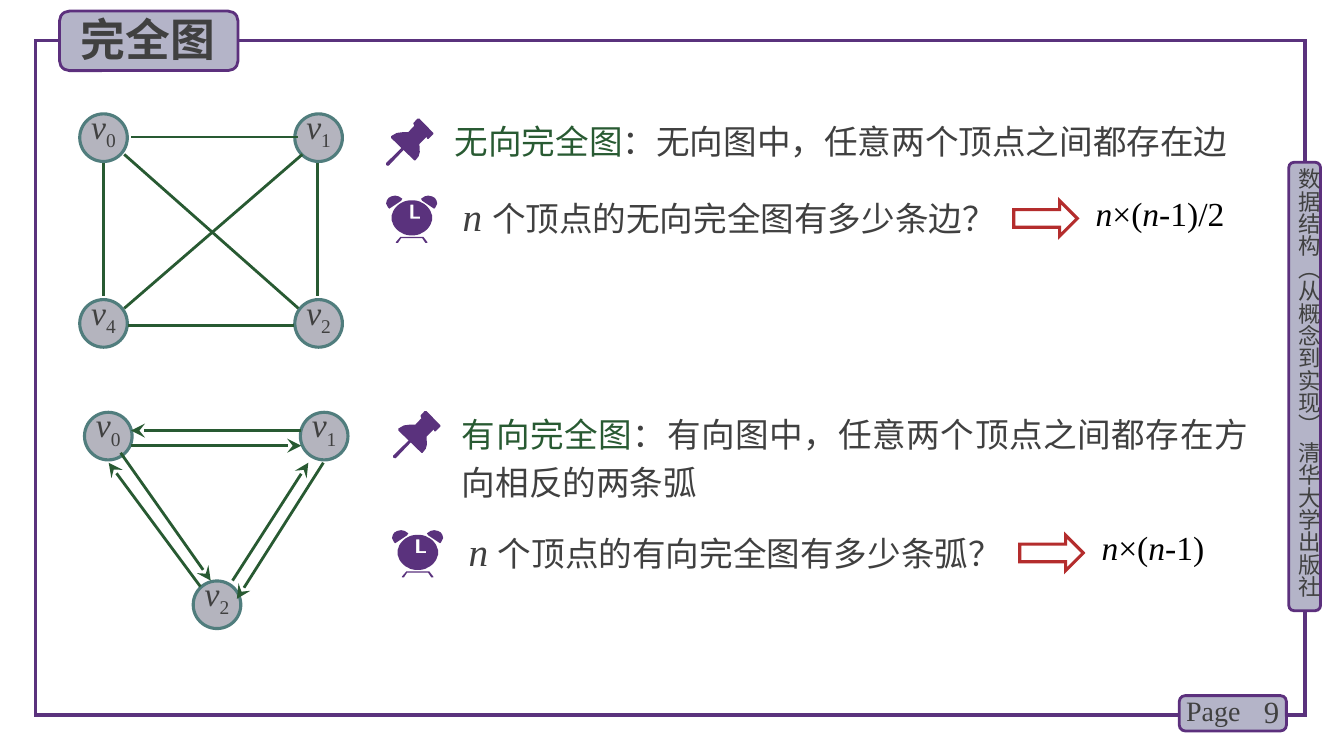
from math import cos, pi, sin
from pptx import Presentation
from pptx.dml.color import RGBColor
from pptx.enum.shapes import MSO_CONNECTOR as LINK, MSO_SHAPE as SHAPE
from pptx.enum.text import MSO_ANCHOR as ANCHOR, MSO_AUTO_SIZE as AUTO, PP_ALIGN as ALIGN
from pptx.oxml.ns import qn
from pptx.util import Cm, Pt

CJK, ROMAN = "Noto Sans CJK SC", "Times New Roman"
GREY, GREEN, PURPLE, RED, BLACK = "404040", "285A32", "5A327D", "B42D2D", "000000"
EDGE, PANEL, NODE, RIM = "5C307D", "B4B4C8", "B4B4BE", "507D7D"

# Icon outlines, in hundredths of a centimetre
PIN = [(119, 38), (84, 2), (79, 2), (69, 13), (69, 15), (71, 20), (56, 36), (43, 36),
       (27, 38), (13, 46), (13, 51), (71, 107), (74, 107), (82, 97), (85, 86), (84, 66),
       (102, 48), (104, 53), (107, 53), (119, 41)]
NEEDLE = [(5, 121), (0, 119), (0, 114), (41, 74), (46, 74), (46, 79), (8, 119)]
FEET = [(104, 117), (94, 104), (36, 104), (25, 117), (25, 119), (30, 119), (38, 107),
        (91, 107), (99, 119), (104, 119)]
EAR = [(23, 0), (13, 2), (6, 6), (2, 12), (0, 20), (5, 30), (8, 33), (38, 13), (41, 8), (32, 2)]
HANDS = [(86, 58), (61, 58), (61, 23), (69, 23), (69, 53), (86, 53)]
FACE = [(65 + 51 * cos(k * pi / 24), 56 + 44 * sin(k * pi / 24)) for k in range(48)]


def tint(code):
    return RGBColor.from_string(code)


def add(node, tag, **values):
    node.append(node.makeelement(qn(tag), values))


def paint(shape, fill=None, line=None, width=2.25):
    shape.shadow.inherit = False
    if fill:
        shape.fill.solid()
        shape.fill.fore_color.rgb = tint(fill)
    else:
        shape.fill.background()
    if line:
        shape.line.color.rgb = tint(line)
        shape.line.width = Pt(width)
        add(shape._element.spPr.find(qn("a:ln")), "a:miter", lim="800000")
    else:
        shape.line.fill.background()


def block(slide, kind, box, fill=None, line=None, width=2.25):
    shape = slide.shapes.add_shape(kind, *map(Cm, box))
    paint(shape, fill, line, width)
    return shape


def write(frame, runs, align=ALIGN.LEFT, space=None, face=ROMAN):
    """Fill the first paragraph from (text, size, colour, style) runs; style uses b, i, s."""
    para = frame.paragraphs[0]
    para.alignment = align
    para.line_spacing = space
    para._p.get_or_add_pPr().set("hangingPunct", "0")
    for text, size, code, style in runs:
        run = para.add_run()
        run.text = text
        font = run.font
        font.size, font.name = Pt(size), face
        font.bold, font.italic = "b" in style, "i" in style
        font.color.rgb = tint(code)
        props = run._r.get_or_add_rPr()
        add(props, "a:ea", typeface=CJK)
        if "s" in style:
            props.set("baseline", "-25000")


def label(slide, box, runs, grow=True, **look):
    frame = slide.shapes.add_textbox(*map(Cm, box)).text_frame
    frame.word_wrap = True
    if grow:
        frame.auto_size = AUTO.SHAPE_TO_FIT_TEXT
    write(frame, runs, **look)
    return frame


def bare(frame):
    frame.margin_left = frame.margin_right = frame.margin_top = frame.margin_bottom = 0


def trace(slide, x, y, *rings):
    """Draw one solid purple outline; later rings cut holes."""
    pen = slide.shapes.build_freeform(*rings[0][0], scale=Cm(0.01))
    for k, ring in enumerate(rings):
        if k:
            pen.move_to(*ring[0])
        pen.add_line_segments(ring[1:], close=True)
    paint(pen.convert_to_shape(Cm(x), Cm(y)), PURPLE)


def pin(slide, x, y):
    trace(slide, x, y, PIN)
    trace(slide, x, y, NEEDLE)


def clock(slide, x, y):
    trace(slide, x, y, FEET)
    trace(slide, x, y, EAR)
    trace(slide, x, y, [(129 - a, b) for a, b in EAR])
    trace(slide, x, y, FACE, HANDS)


def edge(slide, ends, arrow):
    link = slide.shapes.add_connector(LINK.STRAIGHT, *map(Cm, ends))
    link.line.color.rgb = tint(GREEN)
    link.line.width = Pt(2)
    props = link._element.spPr
    if arrow:
        add(props.find(qn("a:ln")), "a:tailEnd", type="stealth", w="lg", len="lg")
    add(props, "a:effectLst")


def graph(slide, x, y, nodes, edges, arrow=False):
    for name, (a, b) in nodes.items():
        frame = block(slide, SHAPE.OVAL, (x + a, y + b, 1.2, 1.2), NODE, RIM).text_frame
        bare(frame)
        frame.word_wrap = True
        frame.vertical_anchor = ANCHOR.TOP
        write(frame, [("v", 24, GREY, "i"), (name, 24, GREY, "s")], ALIGN.CENTER, Pt(22))
    for a, b, c, d in edges:
        edge(slide, (x + a, y + b, x + c, y + d), arrow)


def define(slide, x, y, term, text, tall):
    pin(slide, x, y)
    label(slide, (x + 1.48, y - 0.25, 20.32, tall),
          [(term, 24, GREEN, ""), (text, 24, GREY, "")], align=ALIGN.JUSTIFY, space=1.2)


def ask(slide, x, y, text, tail):
    """Place a clock, a question, an arrow and the answer."""
    clock(slide, x, y)
    label(slide, (x + 1.68, y - 0.2, 14.15, 1.45),
          [("n ", 28, GREY, "i"), (text, 24, GREY, "")], align=ALIGN.JUSTIFY)
    block(slide, SHAPE.RIGHT_ARROW, (x + 15.82, y + 0.13, 1.6, 0.89), line=RED)
    label(slide, (x + 17.63, y - 0.2, 4.37, 1.27),
          [("n", 24, BLACK, "i"), ("×(", 24, BLACK, ""),
           ("n", 24, BLACK, "i"), (tail, 24, BLACK, "")])


def border(slide):
    block(slide, SHAPE.RECTANGLE, (0.89, 1.02, 32, 17), line=PURPLE)
    block(slide, SHAPE.ROUNDED_RECTANGLE, (32.48, 4.09, 0.8, 11.3), PANEL, EDGE, 2)
    side = label(slide, (32.64, 4.24, 0.69, 11.4),
                 [("数据结构（从概念到实现） 清华大学出版社", 16, GREY, "")], face=CJK)
    bare(side)
    side._txBody.bodyPr.set("vert", "eaVert")
    block(slide, SHAPE.ROUNDED_RECTANGLE, (29.72, 17.53, 2.7, 0.89), PANEL, EDGE, 2)
    page = label(slide, (30.99, 17.42, 1.5, 1.02), [("9", 22, GREY, "")],
                 grow=False, align=ALIGN.RIGHT)
    page.vertical_anchor = ANCHOR.MIDDLE
    label(slide, (29.64, 17.35, 1.98, 1.12), [("Page", 20, GREY, "")])


def title(slide, text):
    block(slide, SHAPE.ROUNDED_RECTANGLE, (1.5, 0.28, 4.5, 1.5), PANEL, EDGE, 2)
    label(slide, (1.78, 0.18, 4.32, 1.63), [(text, 32, GREY, "b")], face=CJK)


def main():
    deck = Presentation()
    deck.slide_width, deck.slide_height = Cm(33.87), Cm(19.05)
    slide = deck.slides.add_slide(deck.slide_layouts[6])
    border(slide)
    title(slide, "完全图")

    graph(slide, 2.01, 2.87,
          {"0": (0, 0), "1": (5.42, 0), "2": (5.42, 4.68), "4": (0, 4.68)},
          [(1.3, 0.58, 5.49, 0.58), (1.12, 1.02, 5.51, 4.9), (0.6, 1.24, 0.6, 4.6),
           (6, 1.24, 6, 4.6), (5.61, 1.02, 1.12, 4.9), (1.22, 5.33, 5.41, 5.33)])
    define(slide, 9.73, 2.97, "无向完全图", "：无向图中，任意两个顶点之间都存在边", 1.5)
    ask(slide, 9.73, 4.93, "个顶点的无向完全图有多少条边？", "-1)/2")

    graph(slide, 2.13, 10.39,
          {"0": (0, 0), "1": (5.44, 0), "2": (2.74, 4.25)},
          [(5.46, 0.46, 1.17, 0.46), (1.17, 0.84, 5.46, 0.84), (0.91, 1.02, 3.18, 4.24),
           (2.92, 4.39, 0.61, 1.27), (6.02, 1.27, 3.84, 4.7), (3.73, 4.24, 5.64, 1.27)],
          arrow=True)
    define(slide, 9.91, 10.34, "有向完全图",
           "：有向图中，任意两个顶点之间都存在方向相反的两条弧", 2.72)
    ask(slide, 9.88, 13.36, "个顶点的有向完全图有多少条弧？", "-1)")
    deck.save("out.pptx")


if __name__ == "__main__":
    main()
